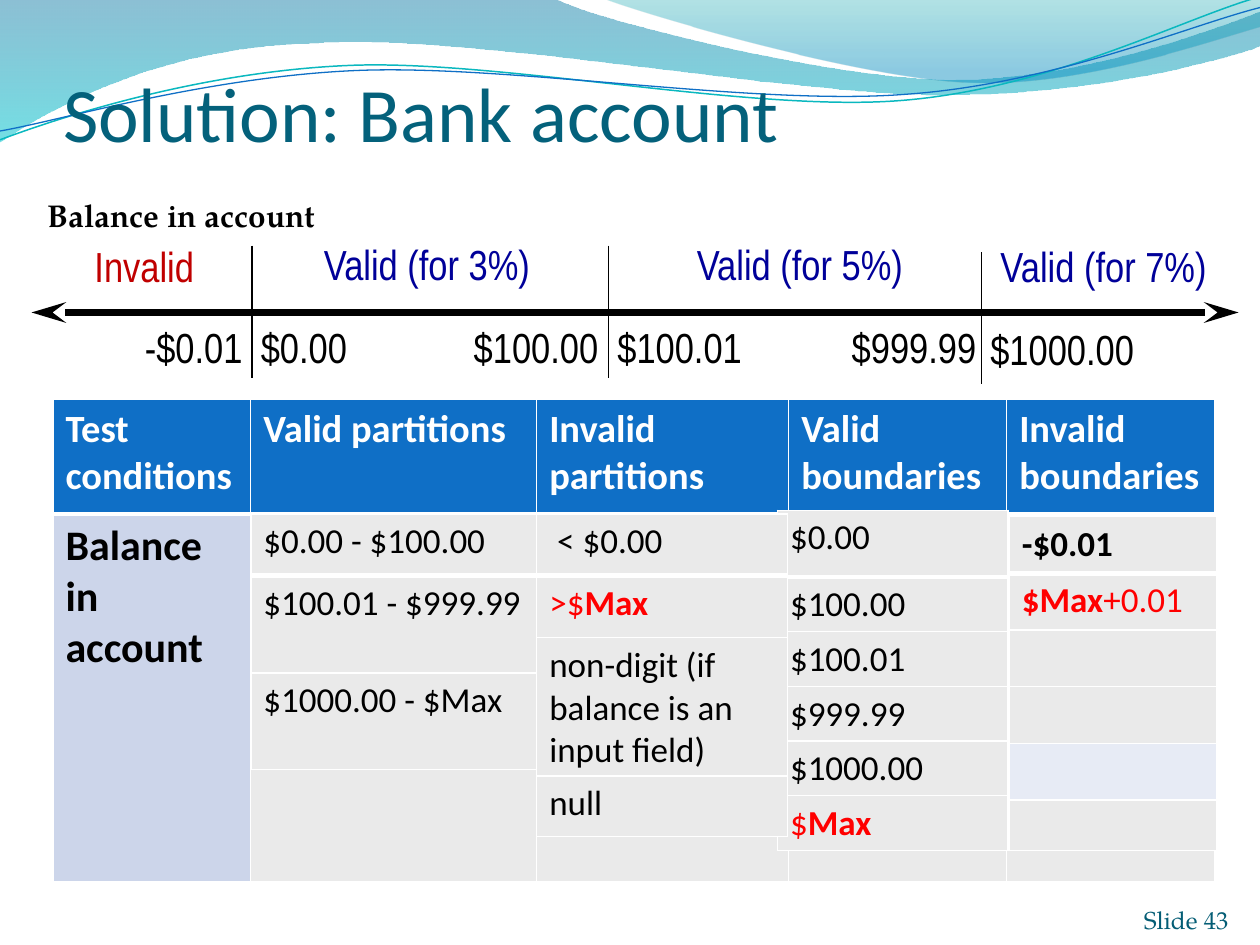
from lxml.etree import SubElement
from pptx import Presentation
from pptx.dml.color import RGBColor
from pptx.enum.shapes import MSO_CONNECTOR
from pptx.enum.text import MSO_ANCHOR, MSO_AUTO_SIZE, PP_ALIGN
from pptx.oxml import parse_xml
from pptx.oxml.ns import nsdecls, qn
from pptx.util import Inches, Pt

HEX = {"black": "000000", "white": "FFFFFF", "red": "FF0000", "brick": "C00000",
       "navy": "000099", "title": "04617B", "foot": "045D75", "head": "0F6FC6",
       "side": "CCD5EA", "grey": "EAEAEA", "pale": "E7EBF5", "teal": "0AB8BF"}
SANS, NARROW, SERIF = "Calibri", "Arial Narrow", "TeX Gyre Pagella"

# Outlines: a start, then steps of one point (straight) or three (curve).
BANDS = [
    ((0, 0), [[(4.4, -0.01)],
              [(4.76, 0.17), (6.64, 0.63), (7.58, 0.63)],
              [(8.53, 0.63), (9.58, 0.26), (10, 0.09)],
              [(10.01, 0.36)],
              [(9.83, 0.44), (8.7, 0.76), (7.46, 0.75)],
              [(6.22, 0.75), (3.82, 0.28), (2.57, 0.34)],
              [(1.29, 0.36), (0.46, 0.83), (-0.01, 1.13)],
              [(0, 0)]],
     [(0, "0074A1", 45), (100, "00C6CF", 55)]),
    ((4.79, -0.01), [[(5.09, 0.11), (6.82, 0.62), (7.69, 0.65)],
                     [(8.56, 0.69), (9.61, 0.32), (10, 0.21)],
                     [(10, 0)],
                     [(4.79, -0.01)]],
     [(0, "00A1A9", 30), (80, "008BBF", 45)]),
]
WAVES = [
    ((0, 1.11), [[(0.48, 0.93), (1.58, 0.57), (2.77, 0.52)],
                 [(3.95, 0.47), (5.93, 0.89), (7.13, 0.8)],
                 [(8.33, 0.71), (9.38, 0.15), (9.98, -0.02)]], "teal", 0.85),
    ((0, 1.04), [[(0.47, 0.96), (1.64, 0.61), (2.83, 0.56)],
                 [(4.03, 0.51), (5.97, 0.84), (7.17, 0.75)],
                 [(8.36, 0.67), (9.41, 0.21), (10, 0.06)]], "head", 0.75),
]

# Number line: text, left, top, width, colour
LABELS = [
    ("Invalid", 0.68, 1.93, 0.94, "brick"),
    ("Valid (for 3%)", 2.5, 1.92, 1.79, "navy"),
    ("Valid (for 5%)", 5.46, 1.92, 1.79, "navy"),
    ("Valid (for 7%)", 7.87, 1.93, 1.79, "navy"),
    ("-$0.01", 1.08, 2.58, 0.92, "black"),
    ("$0.00", 2, 2.58, 0.83, "black"),
    ("$100.00", 3.69, 2.58, 1.14, "black"),
    ("$100.01", 4.83, 2.58, 1.14, "black"),
    ("$999.99", 6.69, 2.58, 1.14, "black"),
    ("$1000.00", 7.79, 2.59, 1.3, "black"),
]
TICKS = [(2, 1.95), (4.83, 1.95), (7.79, 2)]

HEADS = ["Test conditions", "Valid partitions", "Invalid partitions",
         "Valid boundaries", "Invalid boundaries"]
SPANS = [(0, 1, 6), (1, 4, 6), (2, 4, 6), (4, 4, 6)]  # column, first row, last row

# Lists laid over the main table: left, top, width, row heights, cells;
# a cell is plain text or runs of (text, colour, bold).
LISTS = [
    (1.99, 4.08, 2.28, [0.49, 0.77, 0.77],
     ["$0.00 - $100.00", "$100.01 - $999.99", "$1000.00 - $Max"]),
    (6.17, 4.05, 1.83, [0.53] + [0.43] * 5,
     ["$0.00", "$100.00", "$100.01", "$999.99", "$1000.00",
      [("$", "red", False), ("Max", "red", True)]]),
    (8.01, 4.1, 1.65, [0.45] * 5 + [0.4],
     [[("-$0.01", "black", True)],
      [("$Max", "red", True), ("+0.01", "red", False)], "", "", "", ""]),
    (4.26, 4.08, 1.99, [0.49, 0.49, 1.1, 0.48],
     [" < $0.00", [(">$", "red", False), ("Max", "red", True)],
      "non-digit (if balance is an input field)", "null"]),
]


def rgb(name):
    return RGBColor.from_string(HEX[name])


def write(para, text, name, size, color="black", bold=False):
    run = para.add_run()
    run.text = text
    look = {"name": name, "size": Pt(size), "bold": bold}
    for key, val in look.items():
        setattr(run.font, key, val)
    run.font.color.rgb = rgb(color)


def trace(slide, start, steps, closed):
    """Draw an outline, turning each step of three points into a cubic curve."""
    dots = [tuple(map(Inches, dot)) for step in steps for dot in step]
    form = slide.shapes.build_freeform(*map(Inches, start), scale=1.0)
    form.add_line_segments(dots, close=closed)
    shape = form.convert_to_shape()
    shape.shadow.inherit = False
    lines = iter(list(shape._element.iter(qn("a:lnTo"))))
    for step in steps:
        parts = [next(lines) for _ in step]
        if len(parts) == 3:
            curve = parse_xml(f'<a:cubicBezTo {nsdecls("a")}/>')
            parts[0].addprevious(curve)
            for part in parts:
                curve.append(part[0])
                part.getparent().remove(part)
    return shape


def shade(shape, stops):
    """Fill from top to bottom with (position, colour, opacity) stops."""
    marks = "".join(
        f'<a:gs pos="{pos * 1000}"><a:srgbClr val="{tint}">'
        f'<a:alpha val="{part * 1000}"/></a:srgbClr></a:gs>'
        for pos, tint, part in stops)
    shape.line.fill.background()
    shape.fill.background()
    old = shape._element.spPr.find(qn("a:noFill"))
    old.getparent().replace(old, parse_xml(
        f'<a:gradFill {nsdecls("a")}><a:gsLst>{marks}</a:gsLst>'
        '<a:lin ang="5400000" scaled="0"/></a:gradFill>'))


def rule(slide, x1, y1, x2, y2, width, arrows=False):
    line = slide.shapes.add_connector(
        MSO_CONNECTOR.STRAIGHT, *map(Inches, (x1, y1, x2, y2)))
    line.line.color.rgb = rgb("black")
    line.line.width = Pt(width)
    if arrows:
        for end in ("a:headEnd", "a:tailEnd"):
            SubElement(line.line._get_or_add_ln(), qn(end),
                       type="stealth", w="med", len="lg")
    SubElement(line._element.spPr, qn("a:effectLst"))


def label(slide, area, pads, **look):
    box = slide.shapes.add_textbox(*map(Inches, area))
    frame = box.text_frame
    for side, pad in zip(("left", "top", "right", "bottom"), pads):
        setattr(frame, f"margin_{side}", Inches(pad))
    frame.word_wrap = False
    frame.auto_size = MSO_AUTO_SIZE.SHAPE_TO_FIT_TEXT
    write(frame.paragraphs[0], **look)
    return frame


def paint(cell, color, base=1):
    """Fill a cell and edge it in white; base is its bottom line width."""
    props = cell._tc.get_or_add_tcPr()
    for side, width in zip("LRTB", (1, 1, 1, base)):
        edge = SubElement(props, qn(f"a:ln{side}"), w=str(Pt(width)))
        SubElement(SubElement(edge, qn("a:solidFill")), qn("a:srgbClr"), val=HEX["white"])
    cell.fill.solid()
    cell.fill.fore_color.rgb = rgb(color)


def grid(slide, left, top, cols, rows):
    table = slide.shapes.add_table(
        len(rows), len(cols),
        *map(Inches, (left, top, sum(cols), sum(rows)))).table
    table.horz_banding = False
    for col, width in zip(table.columns, cols):
        col.width = Inches(width)
    for row, height in zip(table.rows, rows):
        row.height = Inches(height)
    return table


def main():
    deck = Presentation()
    deck.slide_width, deck.slide_height = Inches(10), Inches(7.5)
    slide = deck.slides.add_slide(deck.slide_layouts[5])

    for start, steps, stops in BANDS:
        shade(trace(slide, start, steps, True), stops)
    for start, steps, color, width in WAVES:
        wave = trace(slide, start, steps, False)
        wave.fill.background()
        wave.line.color.rgb = rgb(color)
        wave.line.width = Pt(width)

    title = slide.shapes.title
    slide.shapes._spTree.append(title._element)  # in front of the waves
    title.left, title.top, title.width, title.height = map(Inches, (0.5, 0.42, 9.17, 0.83))
    frame = title.text_frame
    look = {"margin_left": 0, "margin_right": 0, "margin_bottom": 0,
            "margin_top": Inches(0.05), "vertical_anchor": MSO_ANCHOR.BOTTOM,
            "auto_size": MSO_AUTO_SIZE.NONE}
    for key, val in look.items():
        setattr(frame, key, val)
    frame.paragraphs[0].alignment = PP_ALIGN.LEFT
    write(frame.paragraphs[0], "Solution: Bank account", SANS, 44, "title")

    table = grid(slide, 0.42, 3.17, [1.57, 2.27, 2, 1.73, 1.65], [0.91] + [2.92 / 6] * 6)
    for c, head in enumerate(HEADS):
        paint(table.cell(0, c), "head", 3)
        write(table.cell(0, c).text_frame.paragraphs[0], head, SANS, 22, "white", True)
        for r in range(1, 7):
            paint(table.cell(r, c), "grey" if c else "side")
    for c, first, last in SPANS:
        table.cell(first, c).merge(table.cell(last, c))
    write(table.cell(1, 0).text_frame.paragraphs[0], "Balance in account", SANS, 24, bold=True)

    rule(slide, 0.25, 2.48, 9.83, 2.48, 4, arrows=True)
    for x, y in TICKS:
        rule(slide, x, y, x, y + 1.05, 1)
    for text, x, y, width, color in LABELS:
        frame = label(slide, (x, y, width, 0.41), (0.07, 0.03, 0.07, 0.03),
                      text=text, name=NARROW, size=24, color=color)
        frame.paragraphs[0].line_spacing = 0.87

    for left, top, width, rows, cells in LISTS:
        table = grid(slide, left, top, [width], rows)
        for r, runs in enumerate(cells):
            cell = table.cell(r, 0)
            paint(cell, "pale" if left == 8.01 and r == 4 else "grey", 1 if r else 3)
            if isinstance(runs, str):
                runs = [(runs, "black", False)] if runs else []
            for text, color, bold in runs:
                write(cell.text_frame.paragraphs[0], text, SANS, 20, color, bold)

    foot = label(slide, (8.92, 7.02, 0.83, 0.4), (0, 0, 0, 0),
                 text="Slide 43", name=SERIF, size=14, color="foot")
    foot.auto_size, foot.word_wrap = MSO_AUTO_SIZE.NONE, True
    foot.vertical_anchor = MSO_ANCHOR.BOTTOM
    foot.paragraphs[0].alignment = PP_ALIGN.RIGHT
    label(slide, (0.28, 1.51, 2.42, 0.4), (0.1, 0.05, 0.1, 0.05),
          text="Balance in account", name=SERIF, size=18, bold=True)
    deck.save("out.pptx")


if __name__ == "__main__":
    main()
